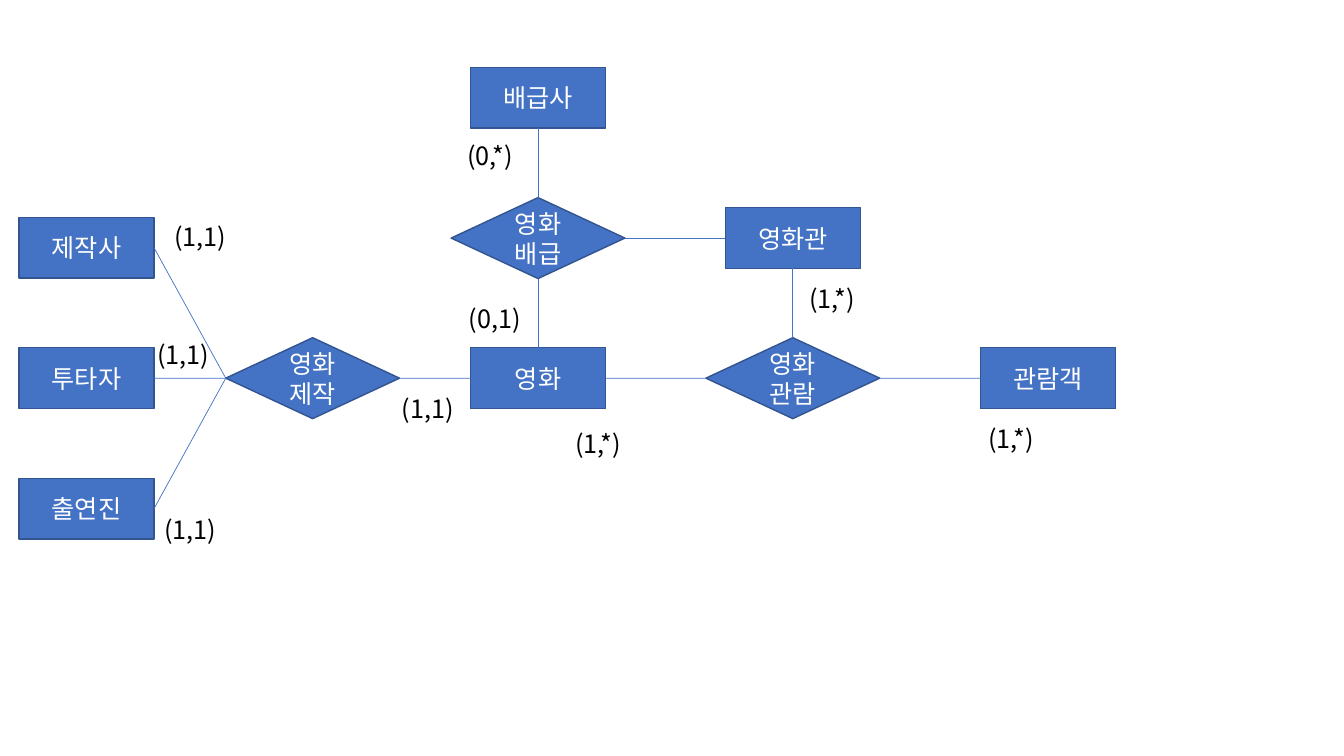
from pptx import Presentation
from pptx.dml.color import RGBColor
from pptx.enum.shapes import MSO_CONNECTOR, MSO_SHAPE
from pptx.enum.text import MSO_ANCHOR, MSO_AUTO_SIZE, PP_ALIGN
from pptx.oxml.ns import qn
from pptx.util import Cm, Pt
from lxml.etree import SubElement

BLUE = RGBColor(0x44, 0x72, 0xC4)
EDGE = RGBColor(0x32, 0x54, 0x91)
WHITE = RGBColor(0xFF, 0xFF, 0xFF)
BLACK = RGBColor(0x00, 0x00, 0x00)
FONT = "Noto Sans CJK KR"
TOP, LEFT, BOTTOM, RIGHT = range(4)

prs = Presentation()
prs.slide_width, prs.slide_height = Cm(33.87), Cm(19.05)
shapes = prs.slides.add_slide(prs.slide_layouts[6]).shapes


def write(sp, text, color, align):
    """Put one 18 pt line in a shape, in the same font for Latin and Korean."""
    p = sp.text_frame.paragraphs[0]
    p.alignment = align
    r = p.add_run()
    r.text = text
    for name, value in {"name": FONT, "size": Pt(18)}.items():
        setattr(r.font, name, value)
    r.font.color.rgb = color
    SubElement(r._r.get_or_add_rPr(), qn("a:ea"), typeface=FONT)


# Column and row centres of the diagram, in cm
MAKERS, MAKING, FILM, THEATER, AUDIENCE = 2.18, 7.88, 13.56, 19.98, 26.41
DISTRIBUTOR_Y, THEATER_Y, MAIN_Y = 2.46, 6.0, 9.53
MAKER_GAP = 3.29

ENTITY = (MSO_SHAPE.RECTANGLE, 3.4, 1.53)
RELATION = (MSO_SHAPE.DIAMOND, 4.38, 2.04)

nodes = {}
for text, (kind, w, h), x, y in [
    ("제작사", ENTITY, MAKERS, MAIN_Y - MAKER_GAP),
    ("투타자", ENTITY, MAKERS, MAIN_Y),
    ("출연진", ENTITY, MAKERS, MAIN_Y + MAKER_GAP),
    ("배급사", ENTITY, FILM, DISTRIBUTOR_Y),
    ("영화", ENTITY, FILM, MAIN_Y),
    ("영화관", ENTITY, THEATER, THEATER_Y),
    ("관람객", ENTITY, AUDIENCE, MAIN_Y),
    ("영화 제작", RELATION, MAKING, MAIN_Y),
    ("영화 배급", RELATION, FILM, THEATER_Y),
    ("영화 관람", RELATION, THEATER, MAIN_Y),
]:
    sp = shapes.add_shape(kind, Cm(x - w / 2), Cm(y - h / 2), Cm(w), Cm(h))
    sp.shadow.inherit = False
    sp.fill.solid()
    sp.fill.fore_color.rgb = BLUE
    sp.line.color.rgb = EDGE
    sp.line.width = Pt(1)
    sp.text_frame.word_wrap = True
    sp.text_frame.vertical_anchor = MSO_ANCHOR.MIDDLE
    write(sp, text, WHITE, PP_ALIGN.CENTER)
    nodes[text] = sp

for start, start_side, end, end_side in [
    ("제작사", RIGHT, "영화 제작", LEFT),
    ("투타자", RIGHT, "영화 제작", LEFT),
    ("출연진", RIGHT, "영화 제작", LEFT),
    ("영화 제작", RIGHT, "영화", LEFT),
    ("영화", RIGHT, "영화 관람", LEFT),
    ("영화 관람", RIGHT, "관람객", LEFT),
    ("영화 관람", TOP, "영화관", BOTTOM),
    ("영화 배급", RIGHT, "영화관", LEFT),
    ("배급사", BOTTOM, "영화 배급", TOP),
    ("영화 배급", BOTTOM, "영화", TOP),
]:
    line = shapes.add_connector(MSO_CONNECTOR.STRAIGHT, 0, 0, 0, 0)
    line.begin_connect(nodes[start], start_side)
    line.end_connect(nodes[end], end_side)
    line.line.color.rgb = BLUE
    line.line.width = Pt(0.5)
    SubElement(line._element.spPr, qn("a:effectLst"))

for text, x, y in [
    ("(1,1)", 4.14, 5.46),
    ("(1,1)", 3.71, 8.43),
    ("(1,1)", 3.89, 12.83),
    ("(1,1)", 9.88, 9.78),
    ("(0,*)", 11.53, 3.4),
    ("(0,1)", 11.56, 7.52),
    ("(1,*)", 14.25, 10.67),
    ("(1,*)", 20.14, 7.01),
    ("(1,*)", 24.66, 10.54),
]:
    box = shapes.add_textbox(Cm(x), Cm(y), Cm(1.85), Cm(1.03))
    box.text_frame.word_wrap = False
    box.text_frame.auto_size = MSO_AUTO_SIZE.SHAPE_TO_FIT_TEXT
    write(box, text, BLACK, PP_ALIGN.LEFT)

prs.save("out.pptx")
